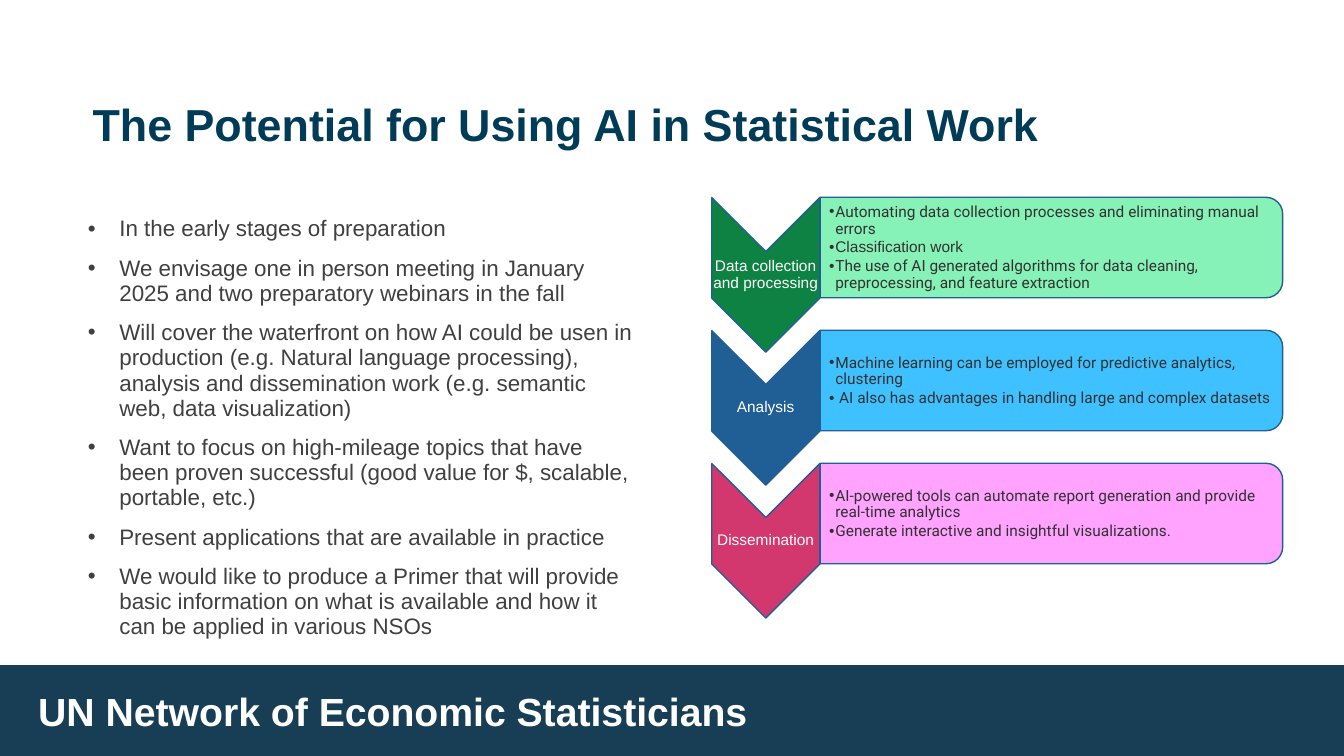
from dataclasses import dataclass
from lxml.etree import SubElement
from pptx import Presentation
from pptx.dml.color import RGBColor
from pptx.enum.shapes import MSO_SHAPE
from pptx.enum.text import MSO_ANCHOR, PP_ALIGN
from pptx.oxml.ns import qn
from pptx.util import Pt


@dataclass(frozen=True)
class Theme:
    navy: str = "183E56"
    title: str = "003C57"
    body: str = "414041"
    detail: str = "323132"
    white: str = "FFFFFF"
    outline: str = "205F95"
    font: str = "Arial"
    detail_font: str = "Roboto"
    title_size: float = 32
    footer_size: float = 28
    body_size: float = 16
    stage_size: float = 11


theme = Theme()
deck = Presentation()
deck.slide_width, deck.slide_height = Pt(960), Pt(540)
slide = deck.slides.add_slide(deck.slide_layouts[6])


def add_panel(kind, box, fill, rotation=0, line=None, opacity=None):
    panel = slide.shapes.add_shape(kind, *map(Pt, box))
    panel.shadow.inherit = False
    panel.rotation = rotation
    panel.fill.solid()
    panel.fill.fore_color.rgb = RGBColor.from_string(fill)
    if opacity:
        color = panel.fill._xPr.find(qn("a:solidFill"))[0]
        SubElement(color, qn("a:alpha")).set("val", str(opacity * 1000))
    if line:
        panel.line.color.rgb = RGBColor.from_string(line)
        panel.line.width = Pt(1)
    else:
        panel.line.fill.background()


def add_text(box, entries, size, color, insets, bold=False, spacing=0.9, before=0,
             after=0, indent=0, align=PP_ALIGN.LEFT, anchor=MSO_ANCHOR.TOP):
    frame = slide.shapes.add_textbox(*map(Pt, box)).text_frame
    frame.word_wrap = True
    frame.vertical_anchor = anchor
    frame.margin_left, frame.margin_top, frame.margin_right, frame.margin_bottom = map(Pt, insets)
    for number, (words, font) in enumerate(entries):
        paragraph = frame.add_paragraph() if number else frame.paragraphs[0]
        paragraph.alignment = align
        paragraph.line_spacing = spacing
        paragraph.space_before, paragraph.space_after = Pt(before), Pt(after)
        if indent:
            properties = paragraph._p.get_or_add_pPr()
            properties.set("marL", str(Pt(indent)))
            properties.set("indent", str(-Pt(indent)))
            SubElement(properties, qn("a:buFont")).set("typeface", theme.font)
            SubElement(properties, qn("a:buChar")).set("char", "•")
        run = paragraph.add_run()
        run.text = words
        run.font.name, run.font.size, run.font.bold = font, Pt(size), bold
        run.font.color.rgb = RGBColor.from_string(color)


add_panel(MSO_SHAPE.RECTANGLE, (0, 475.2, 960, 64.8), theme.navy)
add_text((20.2, 487.4, 572.4, 40.3), [("UN Network of Economic Statisticians", theme.font)],
         theme.footer_size, theme.white, (7.2, 3.6, 0, 3.6), bold=True, spacing=1)

plans = [
    "In the early stages of preparation",
    "We envisage one in person meeting in January 2025 and two preparatory webinars in the fall",
    "Will cover the waterfront on how AI could be usen in production (e.g. Natural language "
    "processing), analysis and dissemination work (e.g. semantic web, data visualization)",
    "Want to focus on high-mileage topics that have been proven successful "
    "(good value for $, scalable, portable, etc.)",
    "Present applications that are available in practice",
    "We would like to produce a Primer that will provide basic information on what is "
    "available and how it can be applied in various NSOs",
]
add_text((62.8, 151.2, 398.9, 384.5), [(plan, theme.font) for plan in plans],
         theme.body_size, theme.body, (0, 3.6, 7.2, 3.6), spacing=0.94, before=10, indent=22.5)

add_text((66.2, 69.8, 828, 42.5), [("The Potential for Using AI in Statistical Work", theme.font)],
         theme.title_size, theme.title, (0, 3.6, 7.2, 3.6), bold=True)

stages = [
    ("Data collection and processing", "0E8242", "7BF1B0", [
        ("Automating data collection processes and eliminating manual errors", theme.detail_font),
        ("Classification work", theme.font),
        ("The use of AI generated algorithms for data cleaning, preprocessing, "
         "and feature extraction", theme.detail_font),
    ]),
    ("Analysis", "205F95", "2CBBFF", [
        ("Machine learning can be employed for predictive analytics, clustering", theme.detail_font),
        (" AI also has advantages in handling large and complex datasets", theme.detail_font),
    ]),
    ("Dissemination", "D2376D", "FF99FF", [
        ("AI-powered tools can automate report generation and provide real-time analytics",
         theme.detail_font),
        ("Generate interactive and insightful visualizations.", theme.detail_font),
    ]),
]
stage_pitch = 95
for position, (stage, dark, light, uses) in enumerate(stages):
    drop = position * stage_pitch
    add_panel(MSO_SHAPE.CHEVRON, (491.8, 157.7 + drop, 110.4, 77.2), dark, 90, theme.outline)
    add_text((508.3, 179.8 + drop, 77.2, 33.1), [(stage, theme.font)], theme.stage_size,
             theme.white, (0.7, 0.7, 0.7, 0.7), after=3.85, align=PP_ALIGN.CENTER,
             anchor=MSO_ANCHOR.MIDDLE)
    add_panel(MSO_SHAPE.ROUND_2_SAME_RECTANGLE, (715.1, 11.6 + drop, 71.8, 330.4),
              light, 90, theme.outline, opacity=90)
    add_text((586, 144.7 + drop, 326.9, 64.8), uses, theme.stage_size, theme.detail,
             (6.2, 0.7, 0.7, 0.7), after=1.65, indent=4.5, anchor=MSO_ANCHOR.MIDDLE)

deck.save("out.pptx")
